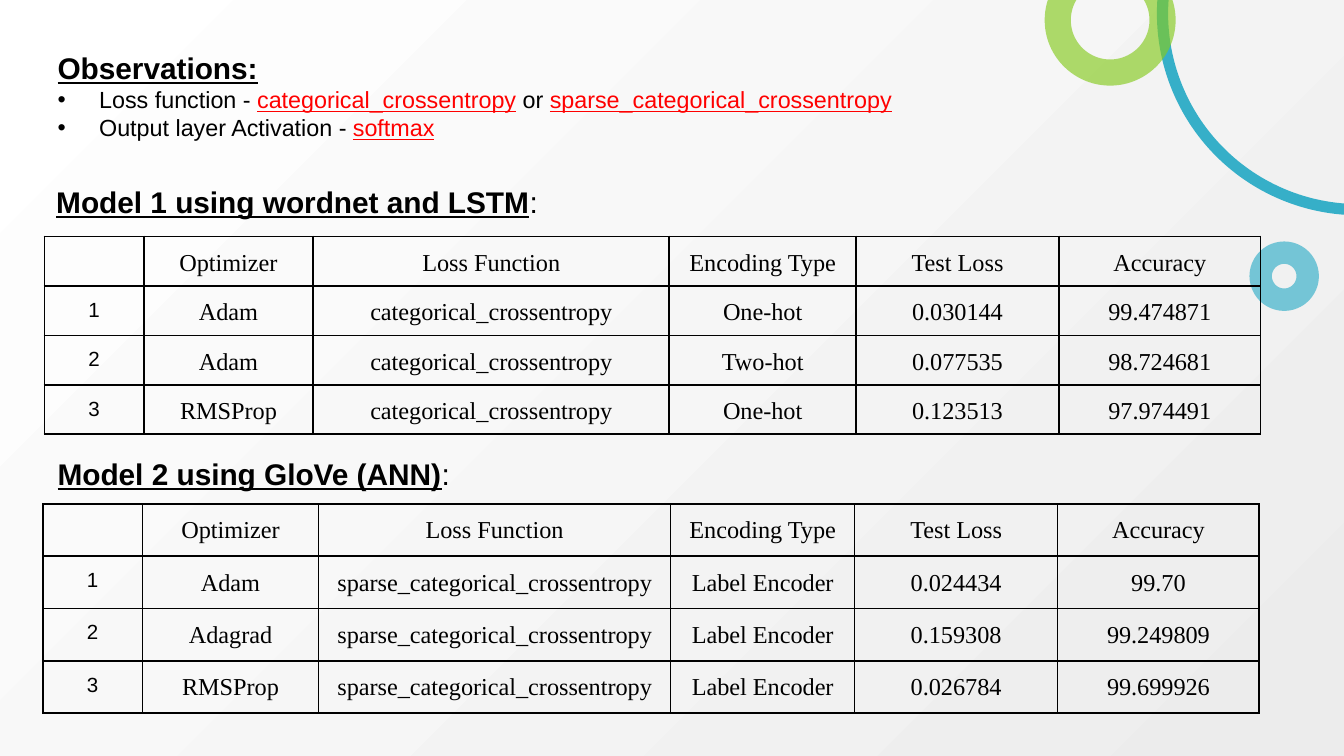
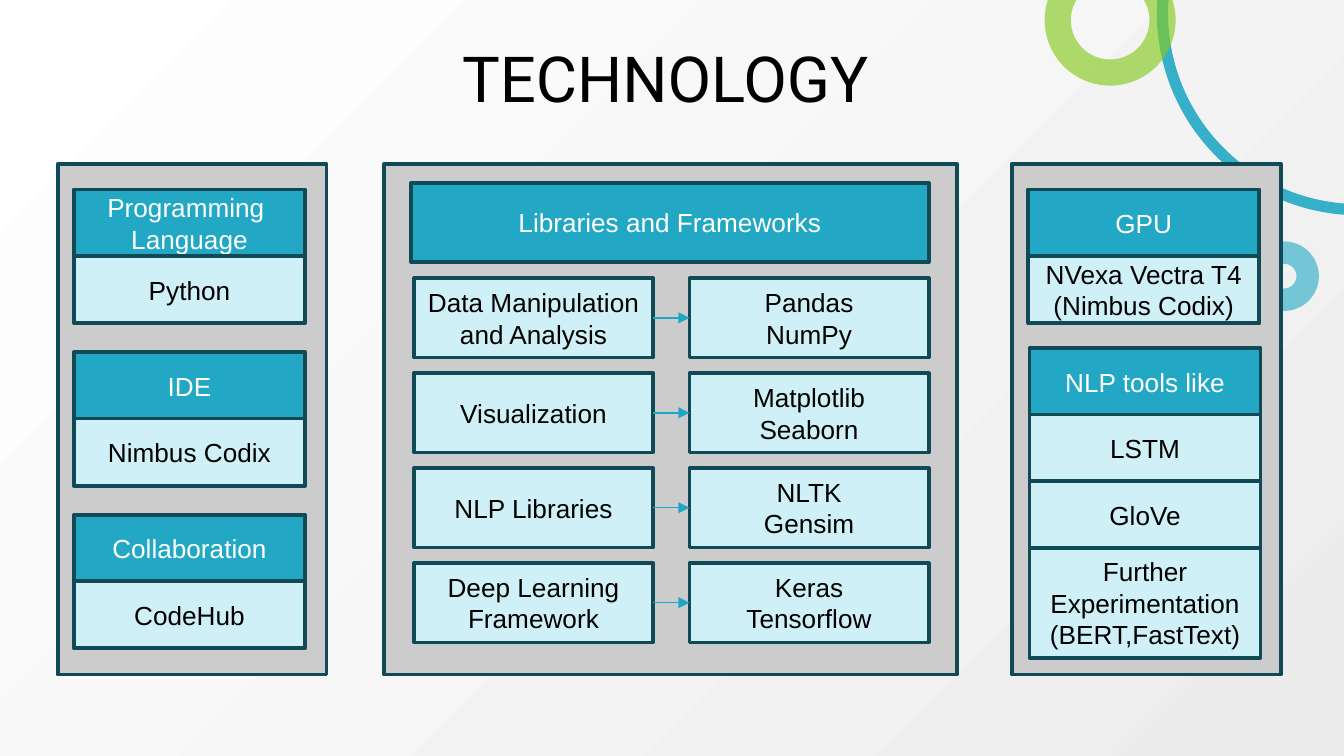
from lxml import etree
from pptx import Presentation
from pptx.dml.color import RGBColor
from pptx.enum.shapes import MSO_CONNECTOR, MSO_SHAPE
from pptx.enum.text import MSO_ANCHOR, PP_ALIGN
from pptx.oxml.ns import qn
from pptx.util import Inches, Pt

RECT, ARC, RING = MSO_SHAPE.RECTANGLE, MSO_SHAPE.ARC, MSO_SHAPE.OVAL
STRAIGHT = MSO_CONNECTOR.STRAIGHT
CENTER = PP_ALIGN.CENTER
MIDDLE = MSO_ANCHOR.MIDDLE
RIGHT_SITE, LEFT_SITE = 3, 1

TEAL, GREEN, PALE = "22A8C4", "86CB21", "CFF0F7"
NAVY, GREY, ARROW = "0F4A56", "CCCCCC", "1DA7C4"
BLACK, WHITE, RED, SHADE = "000000", "FFFFFF", "FF0000", "ECECEC"
SANS, SERIF, DISPLAY = "Arial", "Times New Roman", "Roboto"

HEADER = ["", "Optimizer", "Loss Function", "Encoding Type", "Test Loss", "Accuracy"]
WORDNET_RESULTS = [
    HEADER,
    ["1", "Adam", "categorical_crossentropy", "One-hot", "0.030144", "99.474871"],
    ["2", "Adam", "categorical_crossentropy", "Two-hot", "0.077535", "98.724681"],
    ["3", "RMSProp", "categorical_crossentropy", "One-hot", "0.123513", "97.974491"],
]
GLOVE_RESULTS = [
    HEADER,
    ["1", "Adam", "sparse_categorical_crossentropy", "Label Encoder", "0.024434", "99.70"],
    ["2", "Adagrad", "sparse_categorical_crossentropy", "Label Encoder", "0.159308", "99.249809"],
    ["3", "RMSProp", "sparse_categorical_crossentropy", "Label Encoder", "0.026784", "99.699926"],
]
OBSERVATIONS = [
    [("Loss function - ", False), ("categorical_crossentropy", True),
     (" or ", False), ("sparse_categorical_crossentropy", True)],
    [("Output layer Activation - ", False), ("softmax", True)],
]
LIBRARIES = [
    ("Data Manipulation and Analysis", "Pandas\nNumPy"),
    ("Visualization", "Matplotlib Seaborn"),
    ("NLP Libraries", "NLTK\nGensim"),
    ("Deep Learning Framework", "Keras\nTensorflow"),
]
ENVIRONMENT = [
    ("Programming \nLanguage", "Python"),
    ("IDE", "Nimbus Codix"),
    ("Collaboration", "CodeHub"),
]


def rgb(value):
    return RGBColor.from_string(value)


def box(left, top, width, height):
    return [Inches(length) for length in (left, top, width, height)]


def style(run, size, color=BLACK, font=SANS, bold=False, underline=False):
    run.font.size = Pt(size)
    run.font.name = font
    run.font.color.rgb = rgb(color)
    run.font.bold = bold
    run.font.underline = underline


def add_run(paragraph, text, size, **look):
    run = paragraph.add_run()
    run.text = text
    style(run, size, **look)


def add_text(slide, area):
    frame = slide.shapes.add_textbox(*box(*area)).text_frame
    frame.word_wrap = True
    return frame


def paint_background(master):
    fill = master.background.fill
    fill.gradient()
    for stop, color in zip(fill.gradient_stops, (WHITE, SHADE)):
        stop.color.rgb = rgb(color)
    gradient = master.element.find(".//" + qn("a:gradFill"))
    gradient.remove(gradient.find(qn("a:lin")))
    focus = etree.SubElement(gradient, qn("a:path"), path="circle")
    etree.SubElement(focus, qn("a:fillToRect"), r="100000", b="100000")


def add_rings(slide, layout):
    for placeholder in list(layout.placeholders):
        placeholder.element.getparent().remove(placeholder.element)
    tree = layout.element.find(".//" + qn("p:spTree"))
    rings = [
        (ARC, (8.65, -1.36, 2.92, 2.92), (56.01, 111.67), TEAL, 6, 90),
        (RING, (9.38, 1.88, 0.35, 0.35), (), TEAL, 12, 60),
        (ARC, (7.87, -0.24, 0.78, 0.78), (196.99, 128.89), GREEN, 14, 65),
    ]
    for kind, area, angles, color, weight, opacity in rings:
        ring = slide.shapes.add_shape(kind, *box(*area))
        for index, angle in enumerate(angles):
            ring.adjustments[index] = angle
        ring.shadow.inherit = False
        ring.fill.background()
        ring.line.color.rgb = rgb(color)
        ring.line.width = Pt(weight)
        tint = ring.element.find(".//" + qn("a:ln") + "//" + qn("a:srgbClr"))
        etree.SubElement(tint, qn("a:alpha"), val=str(opacity * 1000))
        tree.append(ring.element)


def add_observations(slide, area):
    frame = add_text(slide, area)
    add_run(frame.paragraphs[0], "Observations:", 16, bold=True, underline=True)
    for observation in OBSERVATIONS:
        paragraph = frame.add_paragraph()
        properties = paragraph._p.get_or_add_pPr()
        properties.set("marL", str(Inches(0.31)))
        properties.set("indent", str(-Inches(0.31)))
        bullet_color = etree.SubElement(properties, qn("a:buClr"))
        etree.SubElement(bullet_color, qn("a:srgbClr"), val=BLACK)
        etree.SubElement(properties, qn("a:buFont"), typeface=SANS)
        etree.SubElement(properties, qn("a:buChar"), char="•")
        for text, is_term in observation:
            add_run(paragraph, text, 12.5, color=RED if is_term else BLACK, underline=is_term)


def add_model_heading(slide, area, text):
    paragraph = add_text(slide, area).paragraphs[0]
    add_run(paragraph, text, 16, bold=True, underline=True)
    add_run(paragraph, ":", 16)


def fill_cell(cell, text, is_index):
    cell.margin_left = cell.margin_right = Inches(0.07)
    cell.margin_top = cell.margin_bottom = Inches(0.07)
    cell.text_frame.text = text
    paragraph = cell.text_frame.paragraphs[0]
    paragraph.alignment = CENTER
    paragraph.line_spacing = 1.15
    for run in paragraph.runs:
        style(run, 11 if is_index else 13, font=SANS if is_index else SERIF)
    if not text:
        etree.SubElement(paragraph._p, qn("a:endParaRPr"), sz="1100")
    properties = cell._tc.get_or_add_tcPr()
    for side in ("a:lnL", "a:lnR", "a:lnT", "a:lnB"):
        border = etree.SubElement(properties, qn(side), w=str(Pt(1)))
        solid = etree.SubElement(border, qn("a:solidFill"))
        etree.SubElement(solid, qn("a:srgbClr"), val=BLACK)
    cell.fill.background()


def add_results(slide, left, top, height, widths, results):
    area = box(left, top, sum(widths), height)
    table = slide.shapes.add_table(len(results), len(widths), *area).table
    table.first_row = table.horz_banding = False
    for column, width in zip(table.columns, widths):
        column.width = Inches(width)
    for row, values in enumerate(results):
        table.rows[row].height = Inches(height / len(results))
        for column, value in enumerate(values):
            fill_cell(table.cell(row, column), value, column == 0)


def add_block(slide, area, fill, text="", color=BLACK):
    block = slide.shapes.add_shape(RECT, *box(*area))
    block.shadow.inherit = False
    block.fill.solid()
    block.fill.fore_color.rgb = rgb(fill)
    block.line.color.rgb = rgb(NAVY)
    block.line.width = Pt(2)
    if text:
        frame = block.text_frame
        frame.text = text
        frame.word_wrap = True
        frame.vertical_anchor = MIDDLE
        for paragraph in frame.paragraphs:
            paragraph.alignment = CENTER
            for run in paragraph.runs:
                style(run, 14, color)
    return block


def add_stack(slide, left, top, heading, *items, last_height=0.5):
    width, height, step = 1.72, 0.5, 0.495
    add_block(slide, (left, top, width, height), TEAL, heading, WHITE)
    for place, item in enumerate(items, 1):
        item_height = last_height if place == len(items) else height
        add_block(slide, (left, top + place * step, width, item_height), PALE, item)


def add_arrow(slide, source, target):
    arrow = slide.shapes.add_connector(STRAIGHT, 0, 0, 0, 0)
    arrow.begin_connect(source, RIGHT_SITE)
    arrow.end_connect(target, LEFT_SITE)
    arrow.line.color.rgb = rgb(ARROW)
    arrow.line.width = Pt(0.75)
    properties = arrow.element.spPr
    etree.SubElement(properties.find(qn("a:ln")), qn("a:tailEnd"), type="triangle")
    etree.SubElement(properties, qn("a:effectLst"))


def add_environment(slide, left, top, width, height):
    add_block(slide, (left, top, width, height), GREY)
    for place, (heading, item) in enumerate(ENVIRONMENT):
        add_stack(slide, left + 0.12, top + 0.19 + place * 1.21, heading, item)


def add_libraries(slide, left, top, width, height):
    add_block(slide, (left, top, width, height), GREY)
    add_block(slide, (left + 0.2, top + 0.14, 3.85, 0.59), TEAL, "Libraries and Frameworks", WHITE)
    step = 2.12 / (len(LIBRARIES) - 1)
    for place, (purpose, libraries) in enumerate(LIBRARIES):
        row_top = top + 0.85 + place * step
        source = add_block(slide, (left + 0.22, row_top, 1.78, 0.59), PALE, purpose)
        target = add_block(slide, (left + 2.27, row_top, 1.78, 0.59), PALE, libraries)
        add_arrow(slide, source, target)


def add_tools(slide, left, top, width, height):
    add_block(slide, (left, top, width, height), GREY)
    add_stack(slide, left + 0.12, top + 0.19, "GPU", "NVexa Vectra T4\n(Nimbus Codix)")
    add_stack(slide, left + 0.13, top + 1.37, "NLP tools like", "LSTM", "GloVe",
              "Further Experimentation\n(BERT,FastText)", last_height=0.82)


def add_title(slide, area, text):
    frame = add_text(slide, area)
    frame.margin_top = frame.margin_bottom = Inches(0.1)
    paragraph = frame.paragraphs[0]
    paragraph.alignment = CENTER
    paragraph.line_spacing = 1.15
    add_run(paragraph, text, 34, font=DISPLAY)


def build_observations(slide):
    add_results(slide, 0.33, 1.76, 1.47, [0.74, 1.26, 2.65, 1.39, 1.51, 1.5], WORDNET_RESULTS)
    add_model_heading(slide, (0.32, 1.32, 3.82, 0.37), "Model 1 using wordnet and LSTM")
    add_observations(slide, (0.33, 0.32, 6.5, 0.79))
    add_results(slide, 0.32, 3.75, 1.55, [0.74, 1.31, 2.62, 1.37, 1.51, 1.5], GLOVE_RESULTS)
    add_model_heading(slide, (0.33, 3.34, 3.21, 0.37), "Model 2 using GloVe (ANN)")


def build_technology(slide):
    top, height = 1.22, 3.8
    add_libraries(slide, 2.86, top, 4.26, height)
    add_environment(slide, 0.43, top, 2, height)
    add_title(slide, (3.01, 0.11, 3.88, 0.86), "TECHNOLOGY")
    add_tools(slide, 7.53, top, 2, height)


def main():
    deck = Presentation()
    deck.slide_width = Inches(10)
    deck.slide_height = deck.slide_width * 9 // 16
    blank = deck.slide_layouts[6]
    paint_background(deck.slide_master)
    observations, technology = [deck.slides.add_slide(blank) for _ in range(2)]
    add_rings(observations, blank)
    build_observations(observations)
    build_technology(technology)
    deck.save("out.pptx")


if __name__ == "__main__":
    main()
